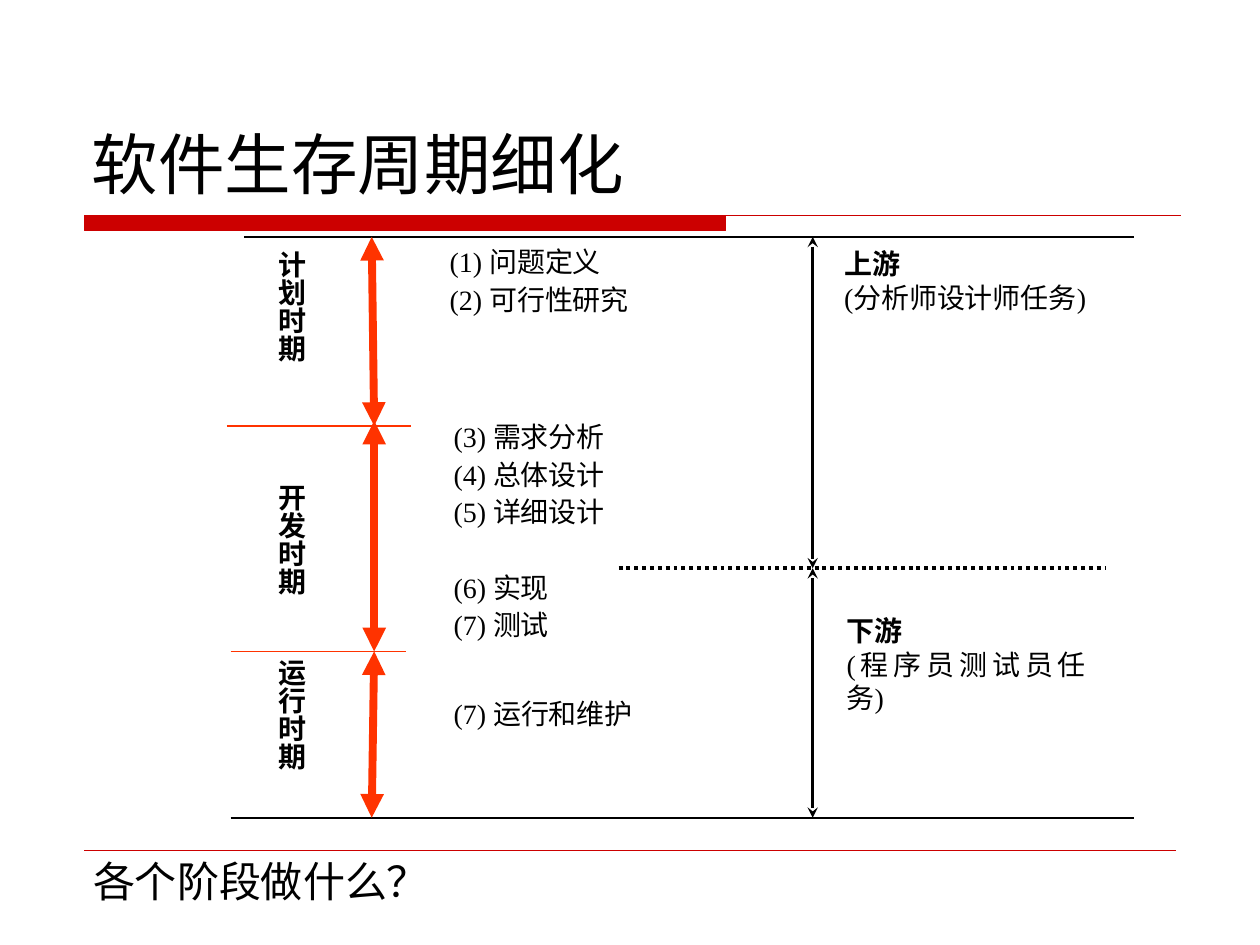
from pptx import Presentation
from pptx.dml.color import RGBColor
from pptx.enum import dml, shapes, text
from pptx.oxml import parse_xml
from pptx.oxml.ns import nsdecls
from pptx.util import Inches, Pt

BLACK = RGBColor(0, 0, 0)
RED = RGBColor(0xCC, 0, 0)
ORANGE = RGBColor(0xFF, 0x33, 0)
SERIF, SANS = "Times New Roman", "Noto Sans CJK SC"
JUST, LEFT, MID = (text.PP_ALIGN.JUSTIFY, text.PP_ALIGN.LEFT,
                   text.PP_ALIGN.CENTER)

TOP, PLAN, SPLIT, RUN, END = 1.88, 3.38, 4.51, 5.17, 6.49
SPAN = 6.45     # x of the upstream and downstream arrows

# start, end, colour, width, arrowheads
LINES = [
    ((0.67, 6.75), (9.33, 6.75), RED, 0.25, None),
    ((1.94, TOP), (9, TOP), BLACK, 1, None),
    ((1.83, END), (9, END), BLACK, 1, None),
    ((1.8, PLAN), (3.26, PLAN), ORANGE, 1, None),
    ((1.83, RUN), (3.22, RUN), ORANGE, 1, None),
    ((2.95, TOP), (2.97, PLAN), ORANGE, 4.5, "triangle"),
    ((2.97, 3.34), (2.97, RUN), ORANGE, 4.5, "triangle"),
    ((2.97, RUN), (2.95, END), ORANGE, 4.5, "triangle"),
    ((SPAN, TOP), (SPAN, SPLIT), BLACK, 1.5, "stealth"),
    ((SPAN, SPLIT), (SPAN, END), BLACK, 1.5, "stealth"),
]
DIVIDER = ((4.91, SPLIT), (8.78, SPLIT), BLACK, 2.25, None)

PHASES = [  # box, label
    ((1.94, 1.93, 0.54, 1.45), "计划时期"),
    ((1.93, 3.78, 0.55, 1.51), "开发时期"),
    ((1.93, 5.17, 0.55, 1.51), "运行时期"),
]
STEPS = [   # box, line spacing, steps; a None step leaves one line open
    ((3.51, 1.88, 2.2, 1.05), 1.12, ["(1) 问题定义", "(2) 可行性研究"]),
    ((3.54, 3.27, 2.5, 2.24), 1.12,
     ["(3) 需求分析", "(4) 总体设计", "(5) 详细设计", None,
      "(6) 实现", "(7) 测试"]),
    ((3.54, 5.5, 1.69, 0.71), 1, ["(7) 运行和维护"]),
]
ROLES = [   # box, heading, task
    ((6.64, 1.93, 2.04, 1.27), "上游", "(分析师设计师任务)"),
    ((6.66, 4.84, 2.02, 1.24), "下游", "(程序员测试员任务)"),
]
LINE_GAP = Pt(21.5)

prs = Presentation()
prs.slide_width, prs.slide_height = Inches(10), Inches(7.5)
slide = prs.slides.add_slide(prs.slide_layouts[6])


def put(obj, **vals):
    for name, val in vals.items():
        setattr(obj, name, val)


def add_line(start, end, color, width, head):
    line = slide.shapes.add_connector(
        shapes.MSO_CONNECTOR.STRAIGHT, *map(Inches, start + end))
    line.line.color.rgb = color
    line.line.width = Pt(width)
    if head:
        for tag in ("headEnd", "tailEnd"):
            line.line._get_or_add_ln().append(parse_xml(
                f'<a:{tag} {nsdecls("a")} type="{head}"/>'))
    line._element.spPr.append(parse_xml(f'<a:effectLst {nsdecls("a")}/>'))
    return line


def add_text(box, lines, inset=(0.06, 0.03), size=16, font=SERIF,
             align=JUST, space=1, bold=(), **frame):
    """Write the lines in a box; bold holds the indexes of bold lines."""
    shape = slide.shapes.add_textbox(*map(Inches, box))
    tf = shape.text_frame
    across, down = map(Inches, inset)
    put(tf, **{"word_wrap": True, "margin_left": across,
               "margin_right": across, "margin_top": down,
               "margin_bottom": down, **frame})
    tf.text = "\n".join(line for line in lines if line)
    kept = [i for i, line in enumerate(lines) if line]
    for i, para in zip(kept, tf.paragraphs):
        put(para, alignment=align, line_spacing=space)
        if i and lines[i - 1] is None:
            para.space_before = LINE_GAP
        run = para.runs[0].font
        put(run, size=Pt(size), name=font, bold=i in bold)
        run.color.rgb = BLACK
    return shape


# Title bar: a thick block that runs on as a thin rule
pen = slide.shapes.build_freeform(Inches(0.67), Inches(1.71), scale=1.0)
corners = [(5.76, 1.71), (5.76, 1.83), (0.67, 1.83)]
pen.add_line_segments([tuple(map(Inches, c)) for c in corners], close=True)
pen.move_to(Inches(0.67), Inches(1.71))
pen.add_line_segments([(Inches(9.37), Inches(1.71))], close=False)
bar = pen.convert_to_shape()
bar.shadow.inherit = False
bar.fill.solid()
bar.fill.fore_color.rgb = bar.line.color.rgb = RED
bar.line.width = Pt(0.75)

for row in LINES:
    add_line(*row)
add_line(*DIVIDER).line.dash_style = dml.MSO_LINE.ROUND_DOT

for box, label in PHASES:
    phase = add_text(box, [label], (0.03, 0.06), align=MID, bold=(0,))
    phase.text_frame._txBody.bodyPr.set("vert", "eaVert")
for box, space, steps in STEPS:
    add_text(box, steps, space=space)
for box, *lines in ROLES:
    add_text(box, lines, bold=(0,))

add_text((0.63, 0.33, 8.75, 1.33), ["软件生存周期细化"], (0.1, 0.05), 38, SANS,
         LEFT, vertical_anchor=text.MSO_ANCHOR.BOTTOM)
add_text((0.64, 6.74, 2.86, 0.5), ["各个阶段做什么？"], (0.1, 0.05), 24,
         align=LEFT, word_wrap=False)

prs.save("out.pptx")
